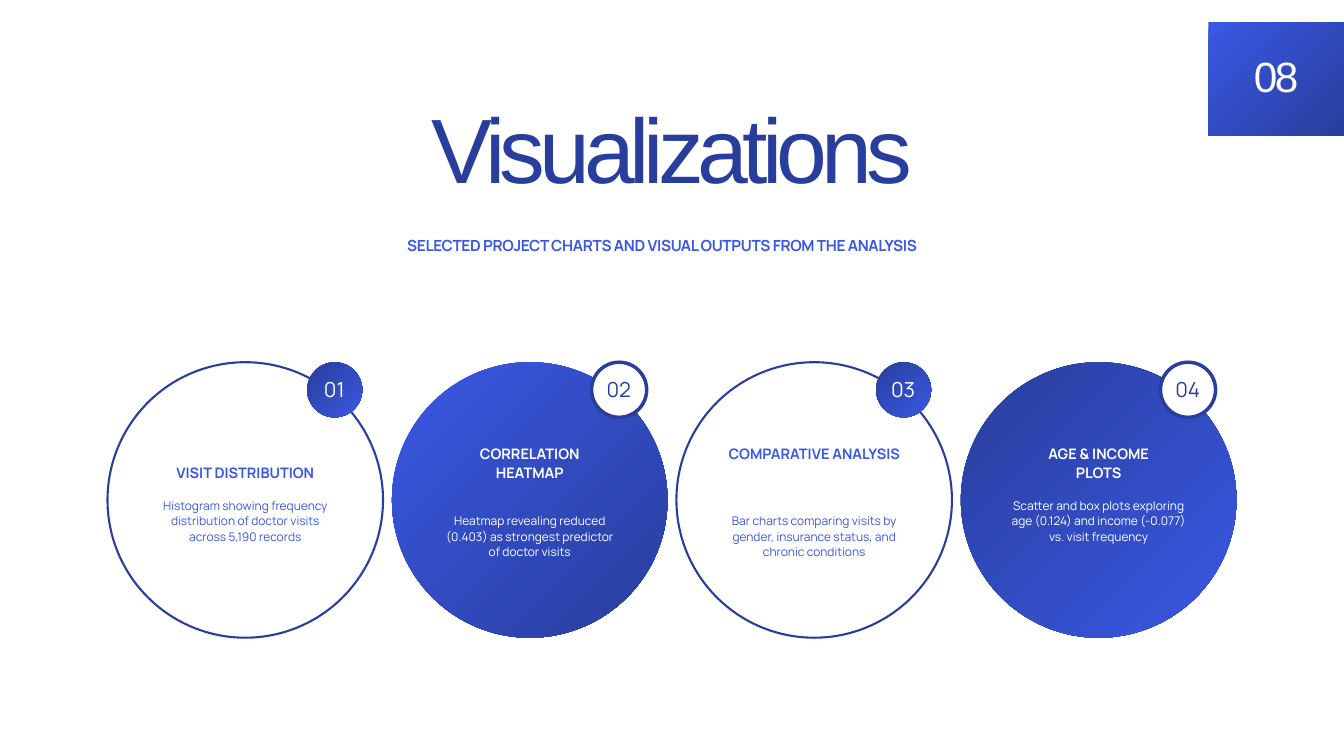
from pptx import Presentation
from pptx.dml.color import RGBColor
from pptx.enum.shapes import MSO_SHAPE
from pptx.enum.text import MSO_ANCHOR, MSO_AUTO_SIZE, PP_ALIGN
from pptx.util import Inches, Pt

COLORS = {"blue": "3A58E4", "navy": "293E9C", "white": "FFFFFF"}

FORMATS = {
    "title": {"name": "Arial", "size": Pt(97.9), "bold": False},
    "subtitle": {"name": "Manrope", "size": Pt(16.4), "bold": True},
    "page": {"name": "Arial", "size": Pt(45.3)},
    "heading": {"name": "Manrope", "size": Pt(15.5), "bold": True},
    "body": {"name": "Manrope", "size": Pt(12.8)},
    "badge": {"name": "Manrope", "size": Pt(22.2)},
}
LINE_SPACING = {"title": 96, "subtitle": 22.9, "page": 44.4,
                "heading": 20, "body": 16.5, "badge": 28.7}
LETTER_SPACING = {"title": -6.3, "subtitle": -0.4, "page": -2.9, "badge": -0.1}

CIRCLE_SIZE = 4.1
CIRCLE_PITCH = 4.233
BADGE_SIZE = 0.82
BADGE_OFFSET = 2.97

# Heading, heading top, heading width, body, body top (tops from the circle's top)
CARDS = [
    ("VISIT DISTRIBUTION", 1.5, 2.17,
     "Histogram showing frequency distribution of doctor visits across 5,190 records", 2.01),
    ("CORRELATION HEATMAP", 1.22, 2.17,
     "Heatmap revealing reduced (0.403) as strongest predictor of doctor visits", 2.24),
    ("COMPARATIVE ANALYSIS", 1.22, 2.58,
     "Bar charts comparing visits by gender, insurance status, and chronic conditions", 2.24),
    ("AGE & INCOME PLOTS", 1.22, 2.17,
     "Scatter and box plots exploring age (0.124) and income (-0.077) vs. visit frequency", 2.01),
]


def color(name):
    return RGBColor.from_string(COLORS[name])


def place(shape, left, top, width, height):
    box = {"left": left, "top": top, "width": width, "height": height}
    for attribute, value in box.items():
        setattr(shape, attribute, Inches(value))


def write(shape, text, style, color_name, alignment=PP_ALIGN.CENTER):
    frame = shape.text_frame
    settings = {"margin_left": 0, "margin_top": 0, "margin_right": 0, "margin_bottom": 0,
                "word_wrap": True, "auto_size": MSO_AUTO_SIZE.NONE,
                "vertical_anchor": MSO_ANCHOR.TOP}
    for attribute, value in settings.items():
        setattr(frame, attribute, value)
    paragraph = frame.paragraphs[0]
    paragraph.alignment = alignment
    paragraph.line_spacing = Pt(LINE_SPACING[style])
    paragraph.space_before = Pt(0)
    run = paragraph.add_run()
    run.text = text
    for attribute, value in FORMATS[style].items():
        setattr(run.font, attribute, value)
    run.font.color.rgb = color(color_name)
    if style in LETTER_SPACING:
        run._r.get_or_add_rPr().set("spc", str(round(LETTER_SPACING[style] * 100)))


def add_text(slide, box, text, style, color_name):
    text_box = slide.shapes.add_textbox(*map(Inches, box))
    write(text_box, text, style, color_name)


def add_panel(slide, kind, box, gradient=None, fill=None, line_width=None):
    shape = slide.shapes.add_shape(kind, *map(Inches, box))
    shape.shadow.inherit = False
    if gradient:
        shape.fill.gradient()
        shape.fill.gradient_angle = 315
        for stop, name, position in zip(shape.fill.gradient_stops, gradient, (0, 1)):
            stop.color.rgb = color(name)
            stop.position = position
    elif fill:
        shape.fill.solid()
        shape.fill.fore_color.rgb = color(fill)
    else:
        shape.fill.background()
    if line_width:
        shape.line.color.rgb = color("navy")
        shape.line.width = Pt(line_width)
    else:
        shape.line.fill.background()


def add_header(slide, left, top, width):
    title, subtitle = slide.placeholders
    place(title, left, top, width, 1.39)
    write(title, "Visualizations", "title", "navy")
    place(subtitle, left + 2.38, top + 1.8, 7.69, 0.3)
    write(subtitle, "SELECTED PROJECT CHARTS AND VISUAL OUTPUTS FROM THE ANALYSIS",
          "subtitle", "blue", PP_ALIGN.LEFT)


def add_page_number(slide, left, top, width, height):
    add_panel(slide, MSO_SHAPE.RECTANGLE, (left, top, width, height), ("blue", "navy"))
    add_text(slide, (left + 0.26, top + 0.55, 1.5, 0.67), "08", "page", "white")


def add_card(slide, left, top, number, card):
    heading, heading_top, heading_width, body, body_top = card
    filled = number % 2 == 0
    center = left + CIRCLE_SIZE / 2

    # Circle: outlined for odd numbers, filled for even ones
    circle = (left, top, CIRCLE_SIZE, CIRCLE_SIZE)
    if filled:
        gradient = ("blue", "navy") if number == 2 else ("navy", "blue")
        add_panel(slide, MSO_SHAPE.OVAL, circle, gradient)
    else:
        add_panel(slide, MSO_SHAPE.OVAL, circle, line_width=2.25)

    # Heading and description
    text_color = "white" if filled else "blue"
    add_text(slide, (center - heading_width / 2, top + heading_top, heading_width, 0.56),
             heading, "heading", text_color)
    add_text(slide, (center - 1.325, top + body_top, 2.65, 0.69), body, "body", text_color)

    # Number badge, in the opposite style
    badge_left = left + BADGE_OFFSET
    badge = (badge_left, top, BADGE_SIZE, BADGE_SIZE)
    if filled:
        add_panel(slide, MSO_SHAPE.OVAL, badge, fill="white", line_width=3.75)
    else:
        add_panel(slide, MSO_SHAPE.OVAL, badge, ("navy", "blue"))
    add_text(slide, (badge_left + 0.14, top + 0.19, 0.53, 0.4), f"{number:02}", "badge",
             "navy" if filled else "white")


def main():
    presentation = Presentation()
    presentation.slide_width = Inches(20)
    presentation.slide_height = Inches(11.25)
    slide = presentation.slides.add_slide(presentation.slide_layouts[0])

    add_header(slide, 3.68, 1.67, 12.64)
    add_page_number(slide, 17.98, 0.33, 2.02, 1.69)
    for index, card in enumerate(CARDS):
        add_card(slide, 1.6 + index * CIRCLE_PITCH, 5.39, index + 1, card)

    presentation.save("out.pptx")


if __name__ == "__main__":
    main()
